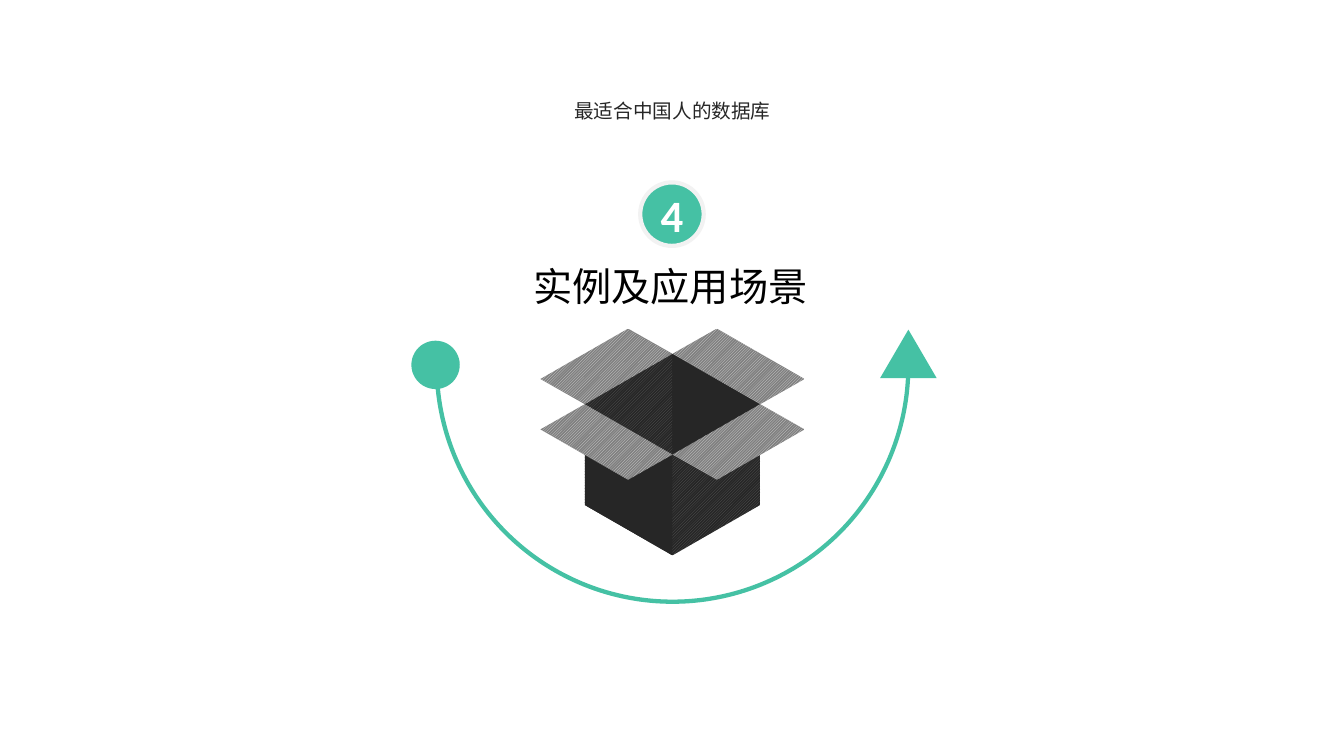
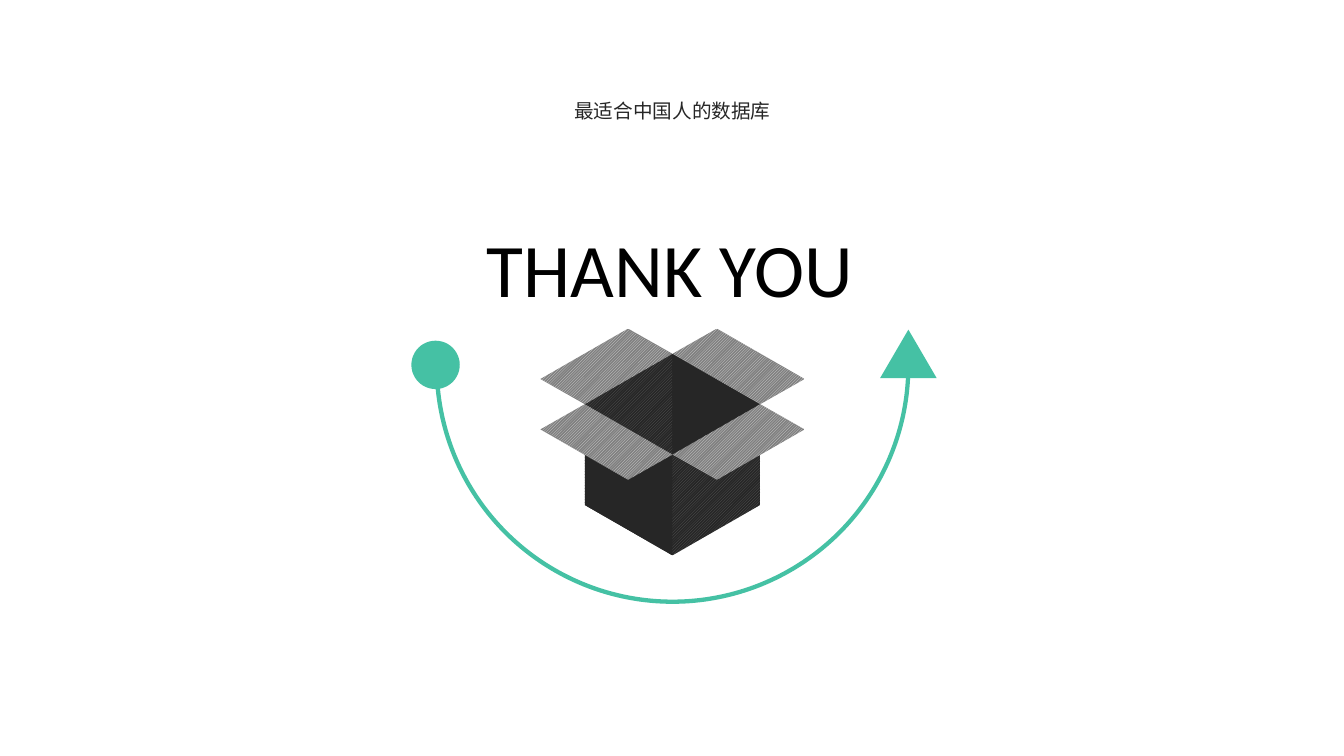
import pptx
import pptx.util
import pptx.dml.color
import pptx.enum.dml
import pptx.enum.shapes
import pptx.enum.text
import pptx.oxml.ns
import lxml.etree

PX = 9144  # EMU, one hundredth of an inch
COLORS = {
    "accent": "45C1A4",
    "ring": "F2F2F2",
    "white": "FFFFFF",
    "black": "000000",
    "dark": "262626",
    "dark hatch": "595959",
    "flap": "808080",
    "flap hatch": "D9D9D9",
}
HAN, LATIN = "Noto Sans CJK SC", "Calibri"
SHAPE = pptx.enum.shapes.MSO_SHAPE
ALIGN = pptx.enum.text.PP_ALIGN
ANCHOR = pptx.enum.text.MSO_ANCHOR
AUTO_SIZE = pptx.enum.text.MSO_AUTO_SIZE
HATCH = pptx.enum.dml.MSO_PATTERN.DARK_UPWARD_DIAGONAL


def rgb(name):
    return pptx.dml.color.RGBColor.from_string(COLORS[name])


class Page:
    """Holds the deck style and the slide being drawn."""

    def __init__(self, deck):
        self.deck = deck
        self.slide = None

    def start(self):
        self.slide = self.deck.slides.add_slide(self.deck.slide_layouts[5])

    def place(self, shape, left, top, width, height):
        shape.left, shape.top = left * PX, top * PX
        shape.width, shape.height = width * PX, height * PX

    def set_text(self, shape, text, size, font, color, align, bold=False):
        frame = shape.text_frame
        frame.text = text
        para = frame.paragraphs[0]
        para.alignment = align
        span = para.runs[0]
        span.font.size = pptx.util.Pt(size)
        span.font.bold = bold
        span.font.name = font
        span.font.color.rgb = rgb(color)
        east_asian = lxml.etree.SubElement(
            span.font._element, pptx.oxml.ns.qn("a:ea"))
        east_asian.set("typeface", font)
        return frame

    def title(self, text, area, size, font):
        box = self.slide.shapes.title
        self.place(box, *area)
        frame = self.set_text(box, text, size, font, "black", ALIGN.LEFT)
        frame.vertical_anchor = ANCHOR.TOP
        frame.word_wrap = False
        frame.auto_size = AUTO_SIZE.SHAPE_TO_FIT_TEXT

    def text(self, text, area, size, font, color):
        box = self.slide.shapes.add_textbox(*(length * PX for length in area))
        frame = self.set_text(box, text, size, font, color, ALIGN.CENTER)
        frame.word_wrap = True

    def paint(self, shape, color, hatch=None):
        shape.shadow.inherit = False
        shape.line.fill.background()
        if hatch:
            shape.fill.patterned()
            shape.fill.pattern = HATCH
            shape.fill.fore_color.rgb = rgb(hatch)
            shape.fill.back_color.rgb = rgb(color)
        else:
            shape.fill.solid()
            shape.fill.fore_color.rgb = rgb(color)

    def shape(self, kind, left, top, width, height):
        shape = self.slide.shapes.add_shape(
            kind, left * PX, top * PX, width * PX, height * PX)
        self.paint(shape, "accent")
        return shape

    def badge(self, text, left, top, size):
        badge = self.shape(SHAPE.OVAL, left, top, size, size)
        badge.line.color.rgb = rgb("ring")
        badge.line.width = pptx.util.Pt(3)
        frame = self.set_text(
            badge, text, 32, LATIN, "white", ALIGN.CENTER, True)
        frame.vertical_anchor = ANCHOR.MIDDLE
        frame.margin_left = frame.margin_right = 0
        frame.margin_top = frame.margin_bottom = 0

    def polygon(self, group, center, offsets, color, hatch=None):
        """Adds an outline given as offsets from a center point."""
        points = [(center[0] + x, center[1] + y) for x, y in offsets]
        builder = group.shapes.build_freeform(*points[0], scale=PX)
        builder.add_line_segments(points[1:], close=True)
        self.paint(builder.convert_to_shape(), color, hatch)

    def open_box(self, center):
        group = self.slide.shapes.add_group_shape()
        half, rise, wall = 87, 50, 100
        back, front = (0, -rise), (0, rise)
        left, right = (-half, 0), (half, 0)
        foot = (0, rise + wall)
        foot_left, foot_right = (-half, wall), (half, wall)
        faces = [
            ([back, left, foot_left, foot, foot_right, right], "dark hatch"),
            ([back, left, front, right], None),
            ([left, foot_left, foot, front], None),
            ([back, left, front], "dark hatch"),
        ]
        for offsets, hatch in faces:
            self.polygon(group, center, offsets, "dark", hatch)
        flap = [(131, 25), (half, 0), (0, rise), (44, 75)]
        for down in (-1, 1):
            for across in (-1, 1):
                offsets = [(across * x, down * y) for x, y in flap]
                self.polygon(group, center, offsets, "flap", "flap hatch")

    def swing_arrow(self):
        arc = self.shape(SHAPE.BLOCK_ARC, 431, 127, 472, 472)
        arc.rotation = 180
        for index, value in enumerate((108, 0.405, 0.009)):
            arc.adjustments[index] = value
        self.shape(SHAPE.OVAL, 408, 338, 48, 48)
        self.shape(SHAPE.ISOSCELES_TRIANGLE, 873, 327, 56, 48)

    def cover(self, title, area, size, font):
        """Starts a slide with the tagline, open box, arrow and a title."""
        self.start()
        self.text("最适合中国人的数据库", (358, 93, 618, 34), 14, HAN, "dark")
        self.open_box((667, 401))
        self.swing_arrow()
        self.title(title, area, size, font)


def main():
    deck = pptx.Presentation()
    deck.slide_width, deck.slide_height = 1333 * PX, 750 * PX
    page = Page(deck)
    page.cover("实例及应用场景", (519, 255, 295, 57), 28, HAN)
    page.badge("4", 635, 181, 63)
    page.cover("THANK YOU", (473, 215, 387, 101), 54, LATIN)
    deck.save("out.pptx")


if __name__ == "__main__":
    main()
